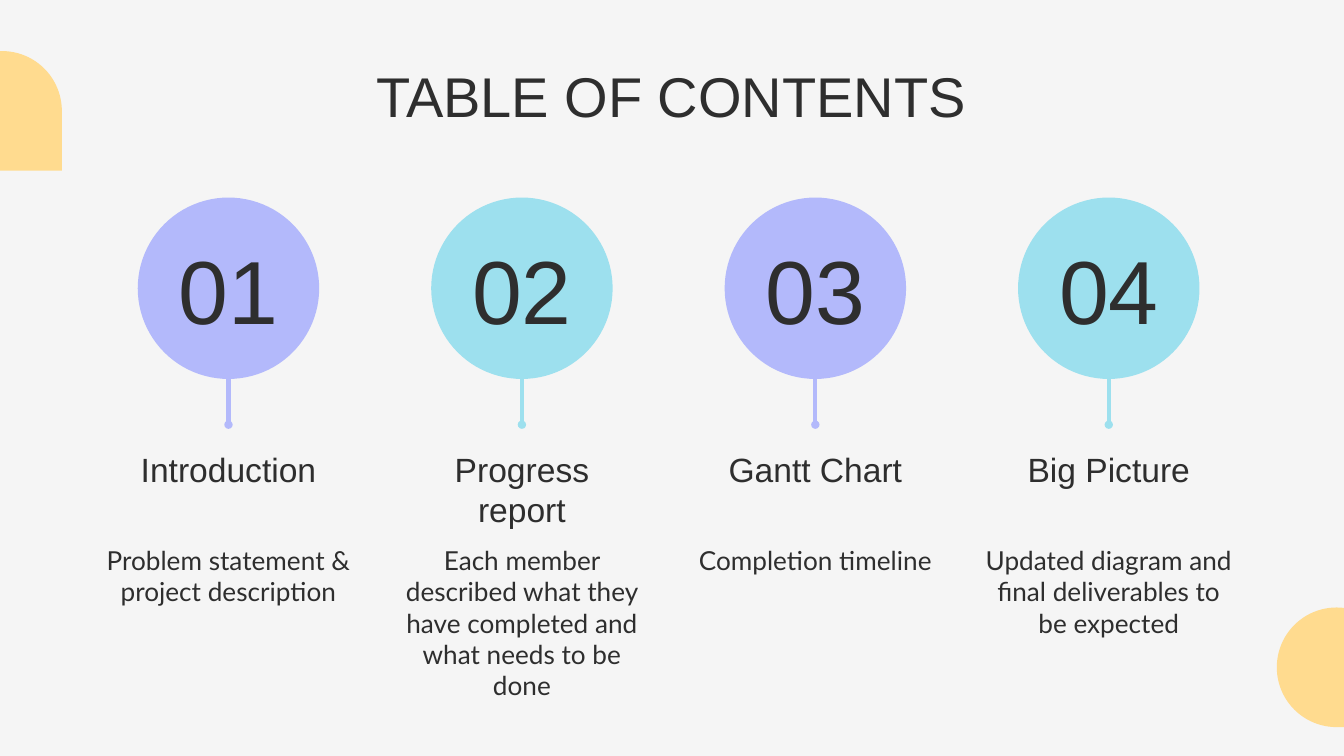
from lxml.etree import SubElement
from pptx import Presentation
from pptx.dml.color import RGBColor
from pptx.enum.shapes import MSO_CONNECTOR, MSO_SHAPE
from pptx.enum.text import MSO_ANCHOR as ANCHOR, MSO_AUTO_SIZE, PP_ALIGN
from pptx.oxml.ns import qn
from pptx.util import Inches, Pt

WIDTH = 10
HEIGHT = WIDTH * 9 / 16
FIRST_CENTER, LAST_CENTER = 1.7, 8.25
CIRCLE, DECOR = 1.35, 0.89
PAPER, INK, YELLOW, LILAC, AQUA = "F5F5F5", "2E2E2E", "FFDB8F", "B3B9FB", "9DE0EE"

NUMBER = {"size": Pt(48), "name": "Arial"}
HEADING = {"size": Pt(18), "name": "Arial"}
DETAIL = {"size": Pt(14), "name": "Lato"}
TITLE = {"size": Pt(30), "name": "Arial"}

# Heading, heading width, description, colour
SECTIONS = [
    ("Introduction", 1.68, "Problem statement & project description", LILAC),
    ("Progress report", 1.78,
     "Each member described what they have completed and what needs to be done", AQUA),
    ("Gantt Chart", 1.78, "Completion timeline", LILAC),
    ("Big Picture", 2.23, "Updated diagram and final deliverables to be expected", AQUA),
]
COLUMN_STEP = (LAST_CENTER - FIRST_CENTER) / (len(SECTIONS) - 1)


def paint(color_format, color):
    color_format.rgb = RGBColor.from_string(color)


def add_filled(s, kind, x, y, size, color):
    sp = s.shapes.add_shape(kind, *map(Inches, (x, y, size, size)))
    sp.shadow.inherit = False
    sp.fill.solid()
    paint(sp.fill.fore_color, color)
    sp.line.fill.background()
    return sp


def add_decor(s, x, y):
    """Add a round shape with one square corner at the bottom right."""
    sp = add_filled(s, MSO_SHAPE.TEAR, x, y, DECOR, YELLOW)
    sp.adjustments[0] = 1
    sp.rotation = 90


def add_stem(s, x, top, bottom, color):
    """Add a vertical line that ends in a dot."""
    line = s.shapes.add_connector(
        MSO_CONNECTOR.STRAIGHT, *map(Inches, (x, top, x, bottom)))
    line.line.width = Pt(2.25)
    paint(line.line.color, color)
    SubElement(line.line._get_or_add_ln(), qn("a:tailEnd"), type="oval", w="sm", len="sm")
    SubElement(line._element.spPr, qn("a:effectLst"))


def write(sp, text, style, anchor=ANCHOR.TOP):
    tf = sp.text_frame
    frame = {"word_wrap": True, "auto_size": MSO_AUTO_SIZE.NONE, "vertical_anchor": anchor}
    for side in ("left", "right", "top", "bottom"):
        frame[f"margin_{side}"] = Inches(0.1)
    for key, value in frame.items():
        setattr(tf, key, value)
    p = tf.paragraphs[0]
    p.alignment = PP_ALIGN.CENTER
    r = p.add_run()
    r.text = text
    for key, value in style.items():
        setattr(r.font, key, value)
    paint(r.font.color, INK)


def add_label(s, center, y, w, h, text, style, anchor=ANCHOR.TOP):
    box = s.shapes.add_textbox(*map(Inches, (center - w / 2, y, w, h)))
    write(box, text, style, anchor)


def add_title(s, text):
    sp = s.shapes.title
    sp.left, sp.top, sp.width, sp.height = map(Inches, (1.49, 0.36, 7.01, 0.69))
    write(sp, text, TITLE)


def add_section(s, column, heading, heading_width, detail, color):
    center = FIRST_CENTER + column * COLUMN_STEP
    add_stem(s, center, 2.46, 3.16, color)
    add_filled(s, MSO_SHAPE.OVAL, center - CIRCLE / 2, 1.47, CIRCLE, color)
    add_label(s, center, 1.83, 1.92, 0.63, f"{column + 1:02}", NUMBER, ANCHOR.MIDDLE)
    add_label(s, center, 3.24, heading_width, 0.63, heading, HEADING)
    add_label(s, center, 3.95, 2.08, 0.94, detail, DETAIL)


def main():
    prs = Presentation()
    prs.slide_width, prs.slide_height = Inches(WIDTH), Inches(HEIGHT)
    s = prs.slides.add_slide(prs.slide_layouts[5])
    s.background.fill.solid()
    paint(s.background.fill.fore_color, PAPER)
    add_decor(s, 9.5, 4.52)
    add_decor(s, -0.43, 0.38)
    add_title(s, "TABLE OF CONTENTS")
    for column, section in enumerate(SECTIONS):
        add_section(s, column, *section)
    prs.save("out.pptx")


if __name__ == "__main__":
    main()
